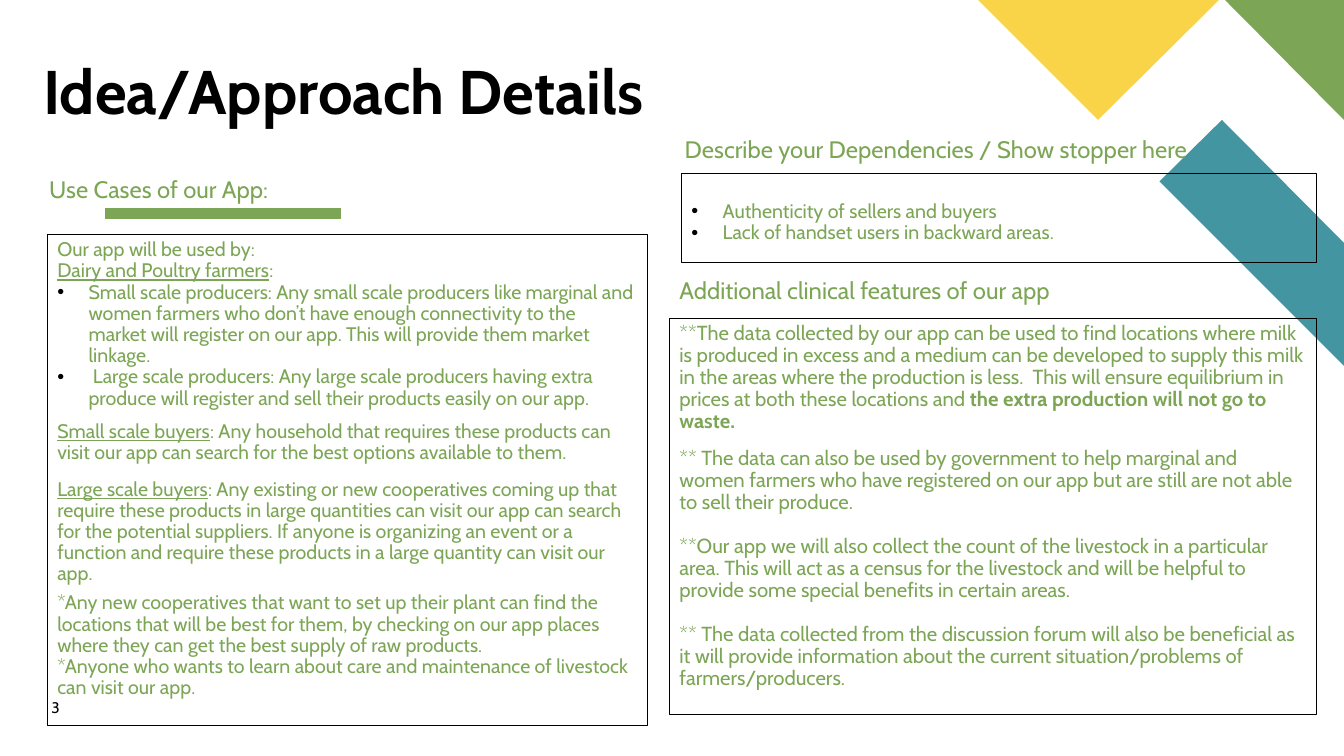
from lxml import etree
from pptx import Presentation
from pptx import util as u
from pptx.dml.color import RGBColor
from pptx.enum import shapes, text
from pptx.oxml import ns

Inches, Pt = u.Inches, u.Pt
GREEN = RGBColor(0x7C, 0xA6, 0x55)
TEAL = RGBColor(0x44, 0x95, 0xA2)
YELLOW = RGBColor(0xF9, 0xD4, 0x48)
BLACK = RGBColor(0, 0, 0)
BULLET_INDENT = Inches(0.31)

deck = Presentation()
deck.slide_width, deck.slide_height = Inches(13.33), Inches(7.5)
slide = deck.slides.add_slide(deck.slide_layouts[6])


def add_block(box, paragraphs, size, color=GREEN, bold=False, framed=False,
              side=0.1, top=0.05, anchor=text.MSO_ANCHOR.TOP, spacing=0.9):
    """Each paragraph is (space before in points, bulleted, [(words, font changes)])."""
    place = [Inches(v) for v in box]
    if framed:
        block = slide.shapes.add_shape(shapes.MSO_SHAPE.RECTANGLE, *place)
        block.shadow.inherit = False
        block.fill.background()
        block.line.color.rgb = BLACK
        block.line.width = Pt(0.75)
    else:
        block = slide.shapes.add_textbox(*place)
    frame = block.text_frame
    frame_format = {"word_wrap": True, "vertical_anchor": anchor,
                    "margin_left": Inches(side), "margin_right": Inches(side),
                    "margin_top": Inches(top), "margin_bottom": Inches(min(top, 0.05))}
    for name, value in frame_format.items():
        setattr(frame, name, value)

    for i, (before, bulleted, runs) in enumerate(paragraphs):
        para = frame.paragraphs[0] if i == 0 else frame.add_paragraph()
        para_format = {"alignment": text.PP_ALIGN.LEFT, "line_spacing": spacing,
                       "space_before": Pt(before), "space_after": Pt(0)}
        for name, value in para_format.items():
            setattr(para, name, value)
        if bulleted:
            props = para._p.get_or_add_pPr()
            props.set("marL", str(BULLET_INDENT))
            props.set("indent", str(-BULLET_INDENT))
            bullet_color = etree.SubElement(props, ns.qn("a:buClr"))
            etree.SubElement(bullet_color, ns.qn("a:srgbClr"), val=str(BLACK))
            etree.SubElement(props, ns.qn("a:buFont"), typeface="Arial")
            etree.SubElement(props, ns.qn("a:buChar"), char="•")
        for words, changes in runs:
            run = para.add_run()
            run.text = words
            run.font.color.rgb = color
            font_format = {"name": "Cabin", "size": Pt(size), "bold": bold} | changes
            for name, value in font_format.items():
                setattr(run.font, name, value)


# Green rule under the left heading
rule = slide.shapes.add_connector(shapes.MSO_CONNECTOR.STRAIGHT,
                                  Inches(1.04), Inches(2.12), Inches(3.38), Inches(2.12))
rule.line.color.rgb = GREEN
rule.line.width = Pt(8)
etree.SubElement(rule._element.spPr, ns.qn("a:effectLst"))

# Corner decoration
corner = [
    (TEAL, [(13.33, 3.63), (13.33, 2.41), (12.12, 1.19), (11.5, 1.8)]),
    (GREEN, [(13.33, 1.19), (13.33, 0), (12.15, 0)]),
    (YELLOW, [(9.7, 0), (10.89, 1.19), (12.09, 0)]),
]
for color, points in corner:
    start, *rest = [(Inches(x), Inches(y)) for x, y in points]
    builder = slide.shapes.build_freeform(*start)
    builder.add_line_segments(rest, close=True)
    facet = builder.convert_to_shape()
    facet.shadow.inherit = False
    facet.fill.solid()
    facet.fill.fore_color.rgb = color
    facet.line.fill.background()

# Title
add_block((0.43, 0.41, 6.22, 0.86), [(0, False, [("Idea/Approach Details", {})])], 44,
          color=BLACK, bold=True, side=0, top=0, anchor=text.MSO_ANCHOR.BOTTOM)

# Section headings
headings = [
    ((0.39, 1.72, 5.63, 0.35), "Use Cases of our App:"),
    ((6.64, 1.32, 5.74, 0.63), " Describe your Dependencies / Show stopper here"),
    ((6.64, 2.72, 5.74, 0.63), "Additional clinical features of our app"),
]
for box, heading in headings:
    add_block(box, [(0, False, [(heading, {})])], 17)

# Use cases
UNDERLINED = {"underline": True}
use_cases = [
    (0, False, [("Our app will be used by:", {})]),
    (0, False, [("Dairy and Poultry farmers", UNDERLINED), (":", {})]),
    (0, True, [("Small scale producers: Any small scale producers like marginal and women "
                "farmers who don’t have enough connectivity to the market will register on "
                "our app. This will provide them market linkage.", {})]),
    (0, True, [(" Large scale producers: Any large scale producers having extra produce "
                "will register and sell their products easily on our app.", {})]),
    (8.8, False, [("Small scale buyers", UNDERLINED),
                  (": Any household that requires these products can visit our app can "
                   "search for the best options available to them.", {})]),
    (10.9, False, [("Large scale buyers", UNDERLINED),
                   (": Any existing or new cooperatives coming up that require these "
                    "products in large quantities can visit our app can search for the "
                    "potential suppliers. If anyone is organizing an event or a function "
                    "and require these products in a large quantity can visit our app.", {})]),
    (5.5, False, [("*Any new cooperatives that want to set up their plant can find the "
                   "locations that will be best for them, by checking on our app places "
                   "where they can get the best supply of raw products.", {})]),
    (0, False, [("*Anyone who wants to learn about care and maintenance of livestock can "
                 "visit our app.", {})]),
]
add_block((0.47, 2.33, 5.95, 4.87), use_cases, 14, framed=True)

# Dependencies
dependencies = ["Authenticity of sellers and buyers", "Lack of handset users in backward areas."]
add_block((6.76, 1.72, 6.3, 0.88), [(0, True, [(item, {})]) for item in dependencies],
          14, framed=True, top=0.28)

# Additional features
features = [
    (0, False, [("**The data collected by our app can be used to find locations where milk is "
                 "produced in excess and a medium can be developed to supply this milk in the "
                 "areas where the production is less.  This will ensure equilibrium in prices "
                 "at both these locations and ", {}),
                ("the extra production will not go to waste.", {"bold": True})]),
    (10.9, False, [("** The data can also be used by government to help marginal and women "
                    "farmers who have registered on our app but are still are not able to "
                    "sell their produce.", {})]),
    (15.8, False, [("**Our app we will also collect the count of the livestock in a "
                    "particular area. This will act as a census for the livestock and will "
                    "be helpful to provide some special benefits in certain areas.", {})]),
    (15.8, False, [("** The data collected from the discussion forum will also be beneficial "
                    "as it will provide information about the current situation/problems of "
                    "farmers/producers.", {})]),
]
add_block((6.64, 3.16, 6.42, 3.93), features, 14.5, framed=True)

# Slide number
add_block((0.51, 6.93, 1.13, 0.27), [(0, False, [("3", {})])], 11,
          color=BLACK, side=0, top=0, spacing=1.0)

deck.save("out.pptx")
